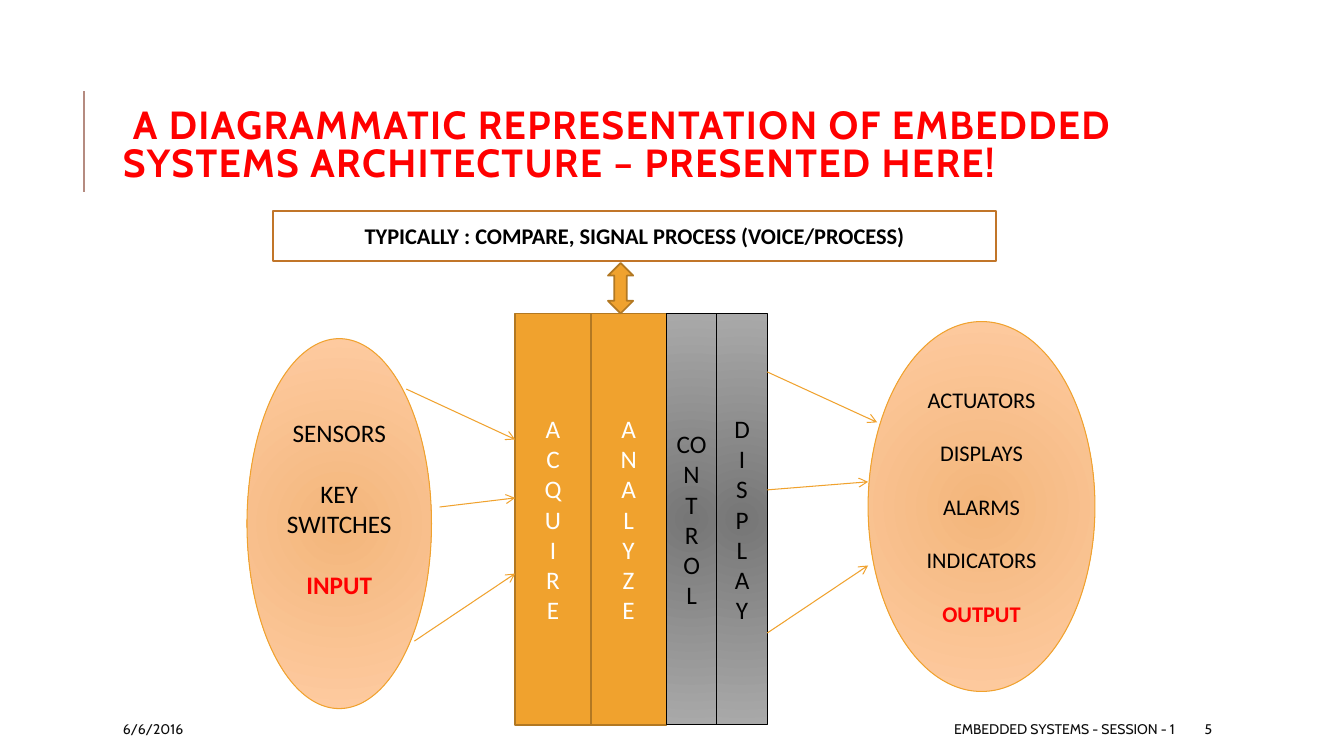
"""Build a slide on the architecture of embedded systems."""
from lxml import etree
from pptx import Presentation, util as u
from pptx.dml import color
from pptx.enum import shapes, text
from pptx.oxml import ns

ORANGE, BROWN, RED, BLACK, WHITE, CHARCOAL = (
    "F0A22E", "B27822", "FF0000", "000000", "FFFFFF", "0D0D0D")
PEACH_GLOW = ("F3B67B", "FFCCA3")
GREY_GLOW = ("767676", "A9A9A9")
LEFT, CENTER, RIGHT = text.PP_ALIGN.LEFT, text.PP_ALIGN.CENTER, text.PP_ALIGN.RIGHT


def rgb(value):
    return color.RGBColor.from_string(value)


def write(frame, content, font="Calibri", size=18, ink=BLACK, bold=False, align=CENTER,
          gap=0, leading=None, tracking=None, accent=None, side=0.1, bottom=0.05):
    frame.word_wrap = True
    frame.vertical_anchor = text.MSO_ANCHOR.MIDDLE
    frame.margin_left = frame.margin_right = u.Inches(side)
    frame.margin_top, frame.margin_bottom = u.Inches(0.05), u.Inches(bottom)
    groups = [content] if isinstance(content, str) else content
    lines = [(line, group > 0 and row == 0)
             for group, block in enumerate(groups)
             for row, line in enumerate(block.split("\n"))]
    for index, (line, spaced) in enumerate(lines):
        paragraph = frame.add_paragraph() if index else frame.paragraphs[0]
        paragraph.alignment = align
        if spaced:
            paragraph.space_before = u.Pt(gap)
        if leading:
            paragraph.line_spacing = leading
        run = paragraph.add_run()
        run.text = line
        marked = line == accent
        run.font.name, run.font.size = font, u.Pt(size)
        run.font.bold = bold or marked
        run.font.color.rgb = rgb(RED if marked else ink)
        if tracking:
            run.font._element.set("spc", str(tracking * 100))


class Board:
    def __init__(self, slide):
        self.slide = slide

    def shape(self, kind, box, fill, line, weight, content=None, **style):
        part = self.slide.shapes.add_shape(kind, *map(u.Inches, box))
        part.shadow.inherit = False
        if isinstance(fill, str):
            part.fill.solid()
            part.fill.fore_color.rgb = rgb(fill)
        else:
            self.glow(part, fill)
        part.line.color.rgb, part.line.width = rgb(line), u.Pt(weight)
        if content:
            write(part.text_frame, content, **style)

    def glow(self, part, tones):
        part.fill.gradient()
        for position, (stop, tone) in enumerate(zip(part.fill.gradient_stops, tones)):
            stop.position, stop.color.rgb = position, rgb(tone)
        gradient = part._element.spPr.find(ns.qn("a:gradFill"))
        gradient.remove(gradient.find(ns.qn("a:lin")))
        circle = etree.SubElement(gradient, ns.qn("a:path"), {"path": "circle"})
        etree.SubElement(circle, ns.qn("a:fillToRect"),
                         {edge: "100000" for edge in "ltrb"})

    def label(self, box, content, **style):
        part = self.slide.shapes.add_textbox(*map(u.Inches, box))
        write(part.text_frame, content, font="Cabin", **style)

    def line(self, start, end, tone=ORANGE, weight=0.75, arrow=True):
        part = self.slide.shapes.add_connector(
            shapes.MSO_CONNECTOR.STRAIGHT, *map(u.Inches, (*start, *end)))
        part.line.color.rgb, part.line.width = rgb(tone), u.Pt(weight)
        properties = part._element.spPr
        if arrow:
            etree.SubElement(properties.find(ns.qn("a:ln")), ns.qn("a:tailEnd"),
                             {"type": "arrow"})
        etree.SubElement(properties, ns.qn("a:effectLst"))


def main():
    deck = Presentation()
    deck.slide_width, deck.slide_height = u.Inches(13.33), u.Inches(7.5)
    board = Board(deck.slides.add_slide(deck.slide_layouts[6]))
    kinds = shapes.MSO_SHAPE

    board.line((0.83, 1.9), (0.83, 0.9), "B58B80", 1.5, arrow=False)
    board.label((1.12, 0.64, 10.63, 1.64),
                " A DIAGRAMMATIC REPRESENTATION OF EMBEDDED SYSTEMS ARCHITECTURE"
                " – PRESENTED HERE!",
                size=28, ink=RED, bold=True, align=LEFT, leading=0.8, tracking=1)

    board.shape(kinds.OVAL, (2.45, 3.36, 1.83, 3.67), PEACH_GLOW, ORANGE, 0.75,
                ("SENSORS", "KEY\nSWITCHES", "INPUT"), gap=22, accent="INPUT", bottom=0.35)

    stage_left = 5.11
    for stage, width, fill, edge, weight, ink in (
            ("ACQUIRE", 0.75, ORANGE, BROWN, 1.25, WHITE),
            ("ANALYZE", 0.75, ORANGE, BROWN, 1.25, WHITE),
            (("CO", *"NTROL"), 0.5, GREY_GLOW, BLACK, 0.75, BLACK),
            ("DISPLAY", 0.5, GREY_GLOW, BLACK, 0.75, BLACK)):
        board.shape(kinds.RECTANGLE, (stage_left, 3.11, width, 4.08), fill, edge, weight,
                    "\n".join(stage), ink=ink, side=0.05)
        stage_left += width

    board.shape(kinds.OVAL, (8.61, 3.19, 2.25, 3.67), PEACH_GLOW, ORANGE, 0.75,
                ("ACTUATORS", "DISPLAYS", "ALARMS", "INDICATORS", "OUTPUT"),
                size=16, gap=19, accent="OUTPUT")

    for start, end in (((7.61, 3.69), (8.7, 4.19)), ((7.61, 4.86), (8.61, 4.78)),
                       ((7.61, 6.28), (8.61, 5.61)), ((4.03, 3.86), (5.11, 4.36)),
                       ((4.36, 5.03), (5.11, 4.94)), ((4.11, 6.36), (5.11, 5.69))):
        board.line(start, end)

    board.shape(kinds.RECTANGLE, (2.71, 2.09, 7.17, 0.5), WHITE, "C17529", 1.25,
                "TYPICALLY : COMPARE, SIGNAL PROCESS (VOICE/PROCESS)", size=16, bold=True)
    board.shape(kinds.UP_DOWN_ARROW, (6.03, 2.61, 0.25, 0.5), ORANGE, BROWN, 1.25)

    for left, width, footer, align in (
            (1.12, 2.36, "6/6/2016", LEFT),
            (5.3, 6.45, "EMBEDDED SYSTEMS - SESSION - 1", RIGHT),
            (11.85, 1.06, "5", LEFT)):
        board.label((left, 7.08, width, 0.3), footer, size=10, ink=CHARCOAL, align=align)

    deck.save("out.pptx")


if __name__ == "__main__":
    main()
